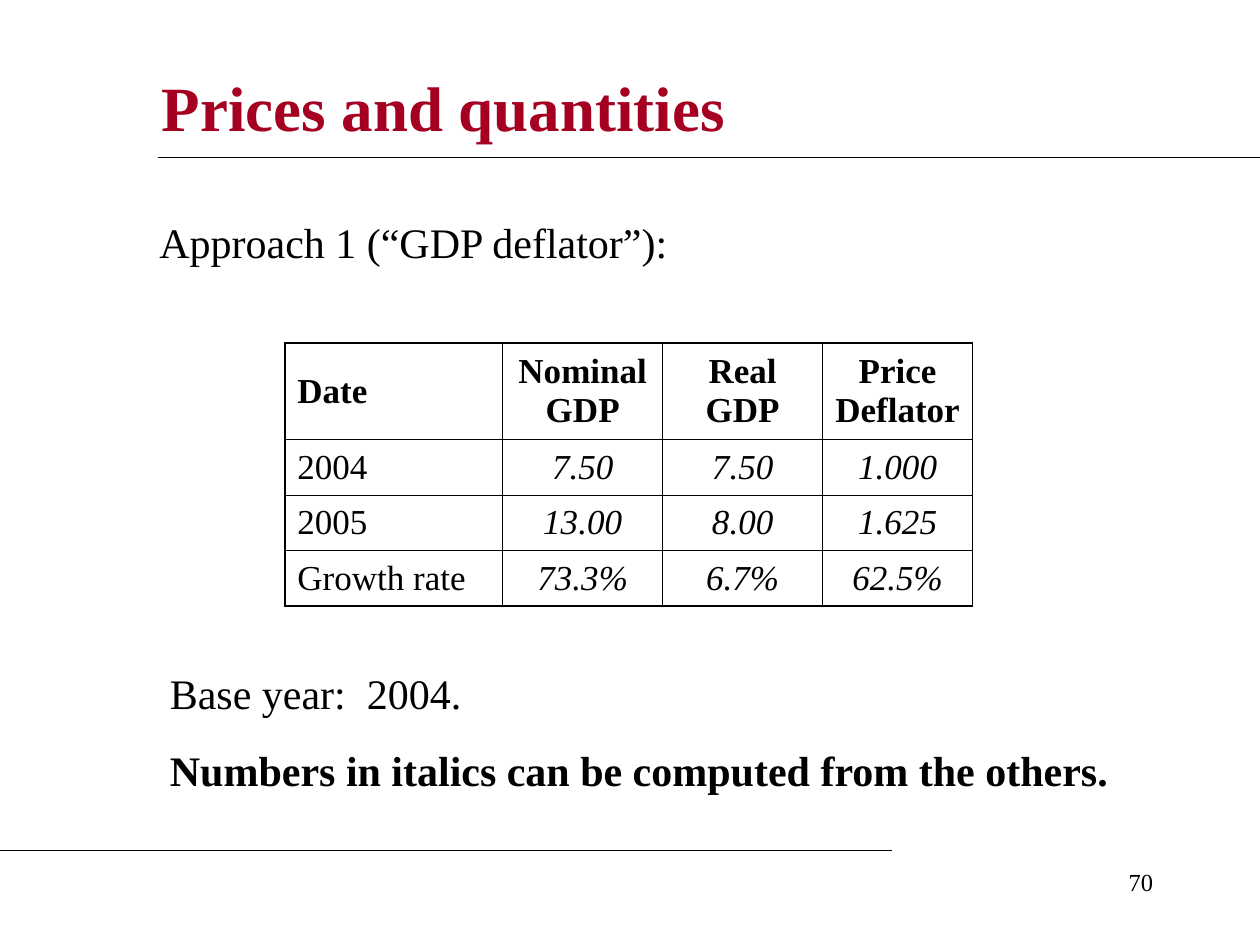
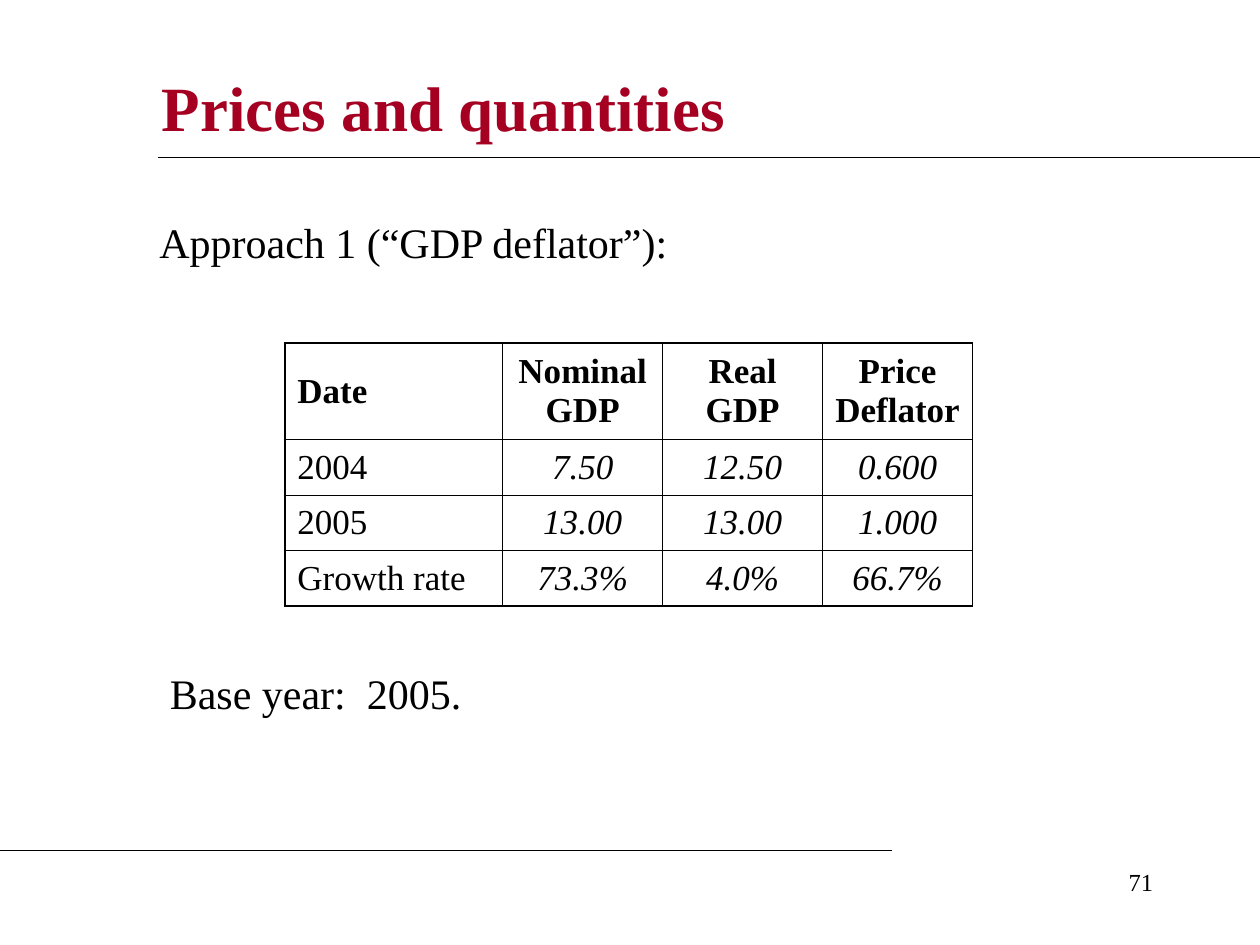
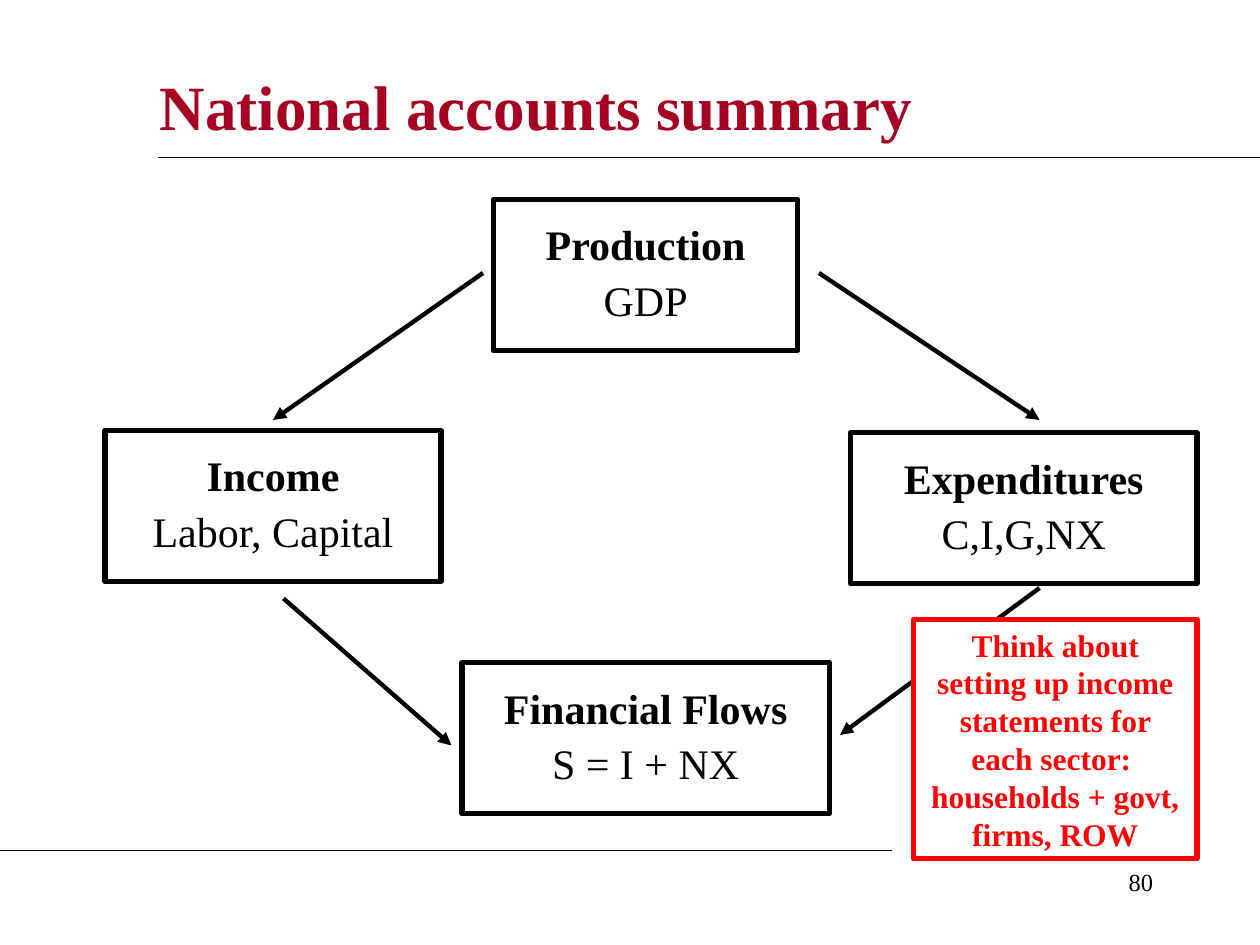
from lxml import etree
from pptx import Presentation
from pptx.dml.color import RGBColor
from pptx.enum.shapes import MSO_CONNECTOR, MSO_SHAPE
from pptx.enum.text import MSO_ANCHOR, PP_ALIGN
from pptx.oxml.ns import qn
from pptx.util import Inches, Pt

LEFT, CENTER, RIGHT = PP_ALIGN.LEFT, PP_ALIGN.CENTER, PP_ALIGN.RIGHT
TOP, MIDDLE = MSO_ANCHOR.TOP, MSO_ANCHOR.MIDDLE
STRAIGHT, RECTANGLE = MSO_CONNECTOR.STRAIGHT, MSO_SHAPE.RECTANGLE

BLACK = RGBColor(0x00, 0x00, 0x00)
WHITE = RGBColor(0xFF, 0xFF, 0xFF)
CRIMSON = RGBColor(0xA5, 0x00, 0x21)
RED = RGBColor(0xFF, 0x00, 0x00)
FONT = "Times New Roman"

deck = Presentation()
deck.slide_width, deck.slide_height = Inches(10), Inches(7.5)
title_only = deck.slide_layouts[5]

# The slide is a grid of 120 columns by 90 rows
UNIT = deck.slide_width / 120


def write(frame, text, size=24, bold=False, italic=False, color=BLACK,
          align=LEFT, before=0, spacing=None):
    """Fill the first paragraph of the frame, or add one below the others."""
    para = frame.paragraphs[0]
    if para.runs:
        para = frame.add_paragraph()
        para.space_before = Pt(before)
    para.alignment = align
    if spacing:
        para.line_spacing = spacing
    span = para.add_run()
    span.text = text
    font = span.font
    font.name, font.size, font.bold, font.italic = FONT, Pt(size), bold, italic
    font.color.rgb = color
    frame.word_wrap = True


def draw_line(page, start, end, width=0.75, arrow=False):
    ends = [int(UNIT * length) for length in (*start, *end)]
    line = page.shapes.add_connector(STRAIGHT, *ends)
    line.line.color.rgb = BLACK
    line.line.width = Pt(width)
    if arrow:
        etree.SubElement(line.line._get_or_add_ln(), qn("a:tailEnd"), type="triangle")
    etree.SubElement(line._element.spPr, qn("a:effectLst"))


# Title, rules and page number of every slide
pages = []
for title, number, place in [
    ("Prices and quantities", "70", (14.2, 5.6, 97, 9)),
    ("Prices and quantities", "71", (14.2, 5.6, 97, 9)),
    ("National accounts summary", "80", (14, 5, 97, 10)),
]:
    page = deck.slides.add_slide(title_only)
    heading = page.shapes.title
    heading.left, heading.top, heading.width, heading.height = [
        int(UNIT * length) for length in place]
    heading.text_frame.vertical_anchor = MIDDLE
    write(heading.text_frame, title, size=36, bold=True, color=CRIMSON)
    draw_line(page, (15, 15), (120, 15))
    draw_line(page, (0, 81), (85, 81))
    box = page.shapes.add_textbox(*[int(UNIT * length) for length in (86, 82, 25, 6)])
    write(box.text_frame, number, size=14, align=RIGHT)
    pages.append(page)

# Price tables, one for each base year
HEADER = ["Date", "Nominal GDP", "Real GDP", "Price Deflator"]
COLUMN_WIDTHS = [1.73, 1.27, 1.27, 1.19]
ROW_HEIGHTS = [0.77, 0.44, 0.44, 0.44]
THIN, THICK = 0.45, 1.08

price_slides = [
    (["Base year:  2004.", "Numbers in italics can be computed from the others."],
     [["2004", "7.50", "7.50", "1.000"],
      ["2005", "13.00", "8.00", "1.625"],
      ["Growth rate", "73.3%", "6.7%", "62.5%"]]),
    (["Base year:  2005."],
     [["2004", "7.50", "12.50", "0.600"],
      ["2005", "13.00", "13.00", "1.000"],
      ["Growth rate", "73.3%", "4.0%", "66.7%"]]),
]
for page, (remarks, figures) in zip(pages, price_slides):
    table = page.shapes.add_table(
        len(ROW_HEIGHTS), len(COLUMN_WIDTHS), Inches(2.26), Inches(2.72),
        Inches(sum(COLUMN_WIDTHS)), Inches(sum(ROW_HEIGHTS))).table
    table.first_row = table.horz_banding = False
    for column, width in zip(table.columns, COLUMN_WIDTHS):
        column.width = Inches(width)
    for row, height in zip(table.rows, ROW_HEIGHTS):
        row.height = Inches(height)

    last_row, last_column = len(ROW_HEIGHTS) - 1, len(COLUMN_WIDTHS) - 1
    for r, values in enumerate([HEADER, *figures]):
        for c, value in enumerate(values):
            cell = table.cell(r, c)
            cell.vertical_anchor = MIDDLE
            write(cell.text_frame, value, size=20, bold=r == 0,
                  italic=r > 0 and c > 0, align=CENTER if c else LEFT)
            # Thick frame, thin inner lines
            properties = cell._tc.get_or_add_tcPr()
            for side, outer in [("L", c == 0), ("R", c == last_column),
                                ("T", r == 0), ("B", r == last_row)]:
                border = etree.SubElement(properties, qn(f"a:ln{side}"),
                                          w=str(Pt(THICK if outer else THIN)))
                fill = etree.SubElement(border, qn("a:solidFill"))
                etree.SubElement(fill, qn("a:srgbClr"), val=str(BLACK))
            cell.fill.background()

    # Text above and below the table
    box = page.shapes.add_textbox(*[int(UNIT * length) for length in (14, 20, 67, 6)])
    write(box.text_frame, "Approach 1 (“GDP deflator”):")
    box = page.shapes.add_textbox(
        *[int(UNIT * length) for length in (15, 63, 94, 7 * len(remarks))])
    for i, remark in enumerate(remarks):
        write(box.text_frame, remark, bold=i > 0, before=15)

# National accounts: four boxes joined by arrows
summary = pages[-1]
ARROWS = [((46, 26), (26, 40)), ((78, 26), (99, 40)),
          ((27, 57), (43, 71)), ((99, 56), (80, 70))]
for start, end in ARROWS:
    draw_line(summary, start, end, width=2.5, arrow=True)

ACCOUNT = dict(color=BLACK, size=24, spacing=0.9, before=6)
NOTE = dict(color=RED, size=18)
boxes = [
    (["Production", "GDP"], (47, 19, 29, 14.4), ACCOUNT),
    (["Income", "Labor, Capital"], (10, 41, 32, 14.4), ACCOUNT),
    (["Expenditures", "C,I,G,NX"], (81, 41.2, 33, 14.4), ACCOUNT),
    (["Financial Flows", "S = I + NX"], (44, 63.1, 35, 14.4), ACCOUNT),
    (["Think about setting up income statements for each sector:  "
      "households + govt, firms, ROW"], (87, 59, 27, 22.8), NOTE),
]
for lines, place, style in boxes:
    box = summary.shapes.add_shape(RECTANGLE, *[int(UNIT * length) for length in place])
    box.shadow.inherit = False
    box.line.color.rgb = style["color"]
    box.line.width = Pt(3)
    frame = box.text_frame
    frame.vertical_anchor = TOP
    if style is NOTE:
        box.fill.solid()
        box.fill.fore_color.rgb = WHITE
    else:
        box.fill.background()
        frame.margin_left = frame.margin_right = Inches(0.2)
        frame.margin_top = frame.margin_bottom = Inches(0.2)
    for i, line in enumerate(lines):
        write(frame, line, bold=i == 0, align=CENTER, **style)

deck.save("out.pptx")
